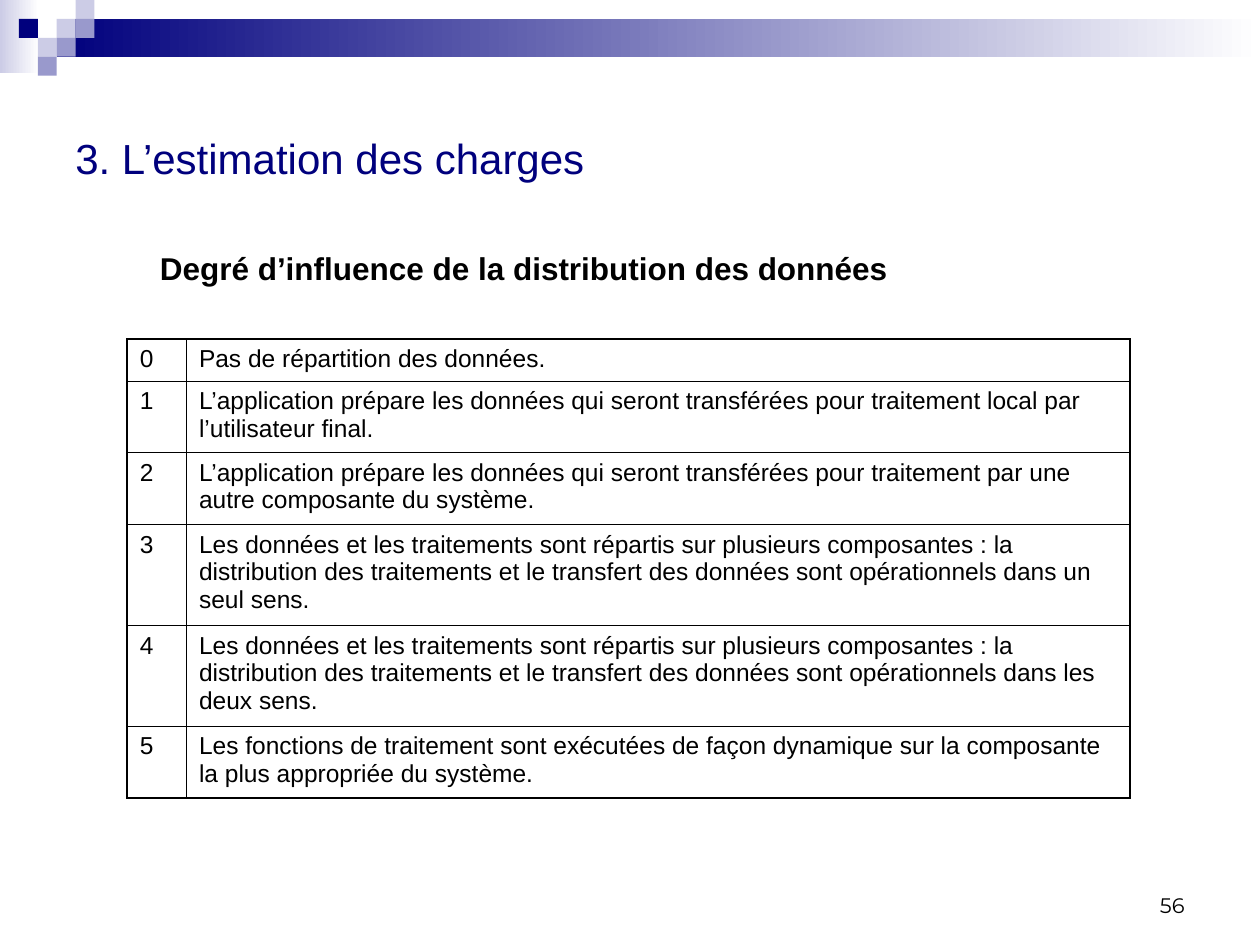
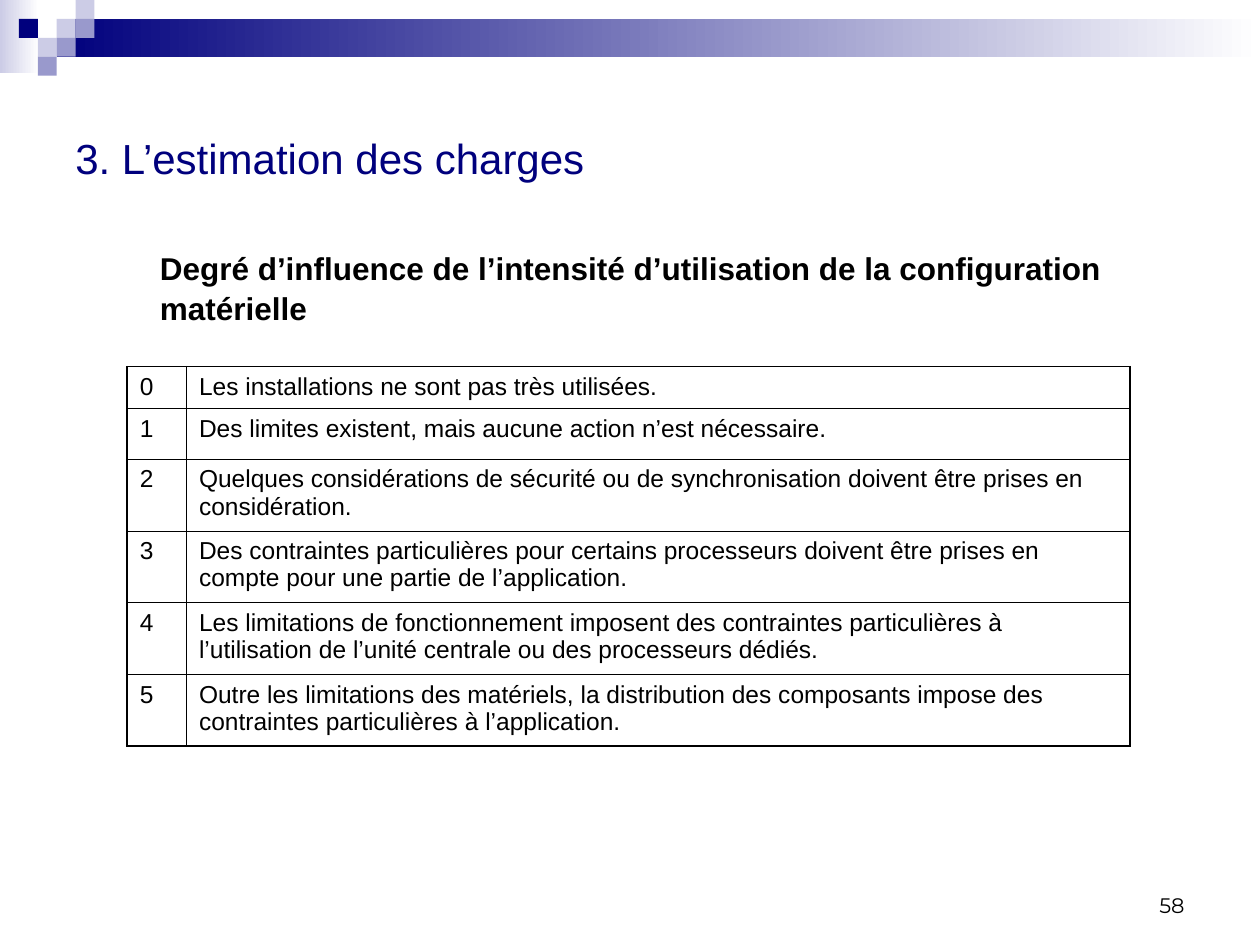
import pptx
import pptx.util
import pptx.dml.color
import pptx.enum.shapes
import pptx.enum.text
import pptx.oxml.ns
from lxml import etree

Inches, Pt = pptx.util.Inches, pptx.util.Pt
ANCHOR = pptx.enum.text.MSO_ANCHOR
ALIGN = pptx.enum.text.PP_ALIGN

TITLE = "3. L’estimation des charges"
# Each row: height in inches, description; its degree is its rank.
SLIDES = [
    {
        "page": "56",
        "head": "Degré d’influence de la distribution des données",
        "top": 2.69,
        "rows": [
            (0.33, "Pas de répartition des données."),
            (0.57, "L’application prépare les données qui seront transférées "
                   "pour traitement local par l’utilisateur final."),
            (0.57, "L’application prépare les données qui seront transférées "
                   "pour traitement par une autre composante du système."),
            (0.8, "Les données et les traitements sont répartis sur plusieurs "
                  "composantes : la distribution des traitements et le transfert "
                  "des données sont opérationnels dans un seul sens."),
            (0.8, "Les données et les traitements sont répartis sur plusieurs "
                  "composantes : la distribution des traitements et le transfert "
                  "des données sont opérationnels dans les deux sens."),
            (0.57, "Les fonctions de traitement sont exécutées de façon dynamique "
                   "sur la composante la plus appropriée du système."),
        ],
    },
    {
        "page": "58",
        "head": "Degré d’influence de l’intensité d’utilisation de la "
                "configuration matérielle",
        "top": 2.91,
        "rows": [
            (0.33, "Les installations ne sont pas très utilisées."),
            (0.4, "Des limites existent, mais aucune action n’est nécessaire."),
            (0.57, "Quelques considérations de sécurité ou de synchronisation "
                   "doivent être prises en considération."),
            (0.57, "Des contraintes particulières pour certains processeurs "
                   "doivent être prises en compte pour une partie de "
                   "l’application."),
            (0.57, "Les limitations de fonctionnement imposent des contraintes "
                   "particulières à l’utilisation de l’unité centrale ou des "
                   "processeurs dédiés."),
            (0.57, "Outre les limitations des matériels, la distribution des "
                   "composants impose des contraintes particulières à "
                   "l’application."),
        ],
    },
]

COLORS = {"navy": "00007D", "mid": "9999CC", "pale": "CCCCE6",
          "white": "FFFFFF", "black": "000000"}
BANDS = [((0, 0, 0.31, 0.58), "pale"), ((0.45, 0.15, 9.55, 0.3), "navy")]
UNIT = 0.15
TILES = [(3, 1, "pale"), (4, 0, "pale"), (4, 1, "mid"), (2, 2, "pale"),
         (1, 1, "navy"), (3, 2, "mid"), (2, 3, "mid")]  # column, row, colour
COLS = (0.47, 7.49)
THICK, THIN = 1.08, 0.45


def color(name):
    return pptx.dml.color.RGBColor.from_string(COLORS[name])


def style(para, size, name="black", font="Arial", bold=False):
    for run in para.runs:
        run.font.size = Pt(size)
        run.font.name = font
        run.font.bold = bold
        run.font.color.rgb = color(name)


def add_rect(slide, box):
    rect = slide.shapes.add_shape(pptx.enum.shapes.MSO_SHAPE.RECTANGLE,
                                  *map(Inches, box))
    rect.shadow.inherit = False
    rect.line.fill.background()
    return rect


def add_decor(slide):
    for box, name in BANDS:
        fill = add_rect(slide, box).fill
        fill.gradient()
        fill.gradient_angle = 0
        for stop, tint, pos in zip(fill.gradient_stops, (name, "white"), (0, 1)):
            stop.color.rgb = color(tint)
            stop.position = pos
    for col, row, name in TILES:
        fill = add_rect(slide, (col * UNIT, row * UNIT, UNIT, UNIT)).fill
        fill.solid()
        fill.fore_color.rgb = color(name)


def add_text(slide, box, text, anchor, **look):
    frame = slide.shapes.add_textbox(*map(Inches, box)).text_frame
    frame.word_wrap = True
    frame.vertical_anchor = anchor
    frame.text = text
    style(frame.paragraphs[0], **look)
    return frame.paragraphs[0]


def set_edges(cell, widths):
    """Draw the cell's borders; widths maps L, R, T, B to points."""
    props = cell._tc.get_or_add_tcPr()
    qn = pptx.oxml.ns.qn
    for side in "LRTB":
        line = etree.SubElement(props, qn("a:ln" + side),
                                w=str(int(Pt(widths[side]))))
        solid = etree.SubElement(line, qn("a:solidFill"))
        etree.SubElement(solid, qn("a:srgbClr"), val=COLORS["black"])


def add_grid(slide, top, rows):
    height = sum(tall for tall, _ in rows)
    table = slide.shapes.add_table(
        len(rows), len(COLS), Inches(1.01), Inches(top),
        Inches(sum(COLS)), Inches(height)).table
    table.first_row = table.horz_banding = False
    for col, wide in zip(table.columns, COLS):
        col.width = Inches(wide)
    last = len(rows) - 1
    for r, (tall, text) in enumerate(rows):
        table.rows[r].height = Inches(tall)
        for c, words in enumerate((str(r), text)):
            cell = table.cell(r, c)
            cell.text_frame.text = words
            style(cell.text_frame.paragraphs[0], 14)
            outer = {"L": c == 0, "R": c == 1, "T": r == 0, "B": r == last}
            set_edges(cell, {side: THICK if edge else THIN
                             for side, edge in outer.items()})
            cell.fill.background()


def main():
    deck = pptx.Presentation()
    deck.slide_width, deck.slide_height = Inches(10), Inches(7.5)
    for page in SLIDES:
        slide = deck.slides.add_slide(deck.slide_layouts[6])
        add_decor(slide)
        number = add_text(slide, (7.17, 6.83, 2.33, 0.5), page["page"],
                          ANCHOR.BOTTOM, size=12, font="Montserrat")
        number.alignment = ALIGN.RIGHT
        add_text(slide, (0.5, 0.5, 9, 1.5), TITLE, ANCHOR.MIDDLE,
                 size=24, name="navy")
        head = add_text(slide, (1.17, 1.9, 8.32, 0.75), page["head"],
                        ANCHOR.TOP, size=18, bold=True)
        head.line_spacing = 1.08
        add_grid(slide, page["top"], page["rows"])
    deck.save("out.pptx")


if __name__ == "__main__":
    main()
